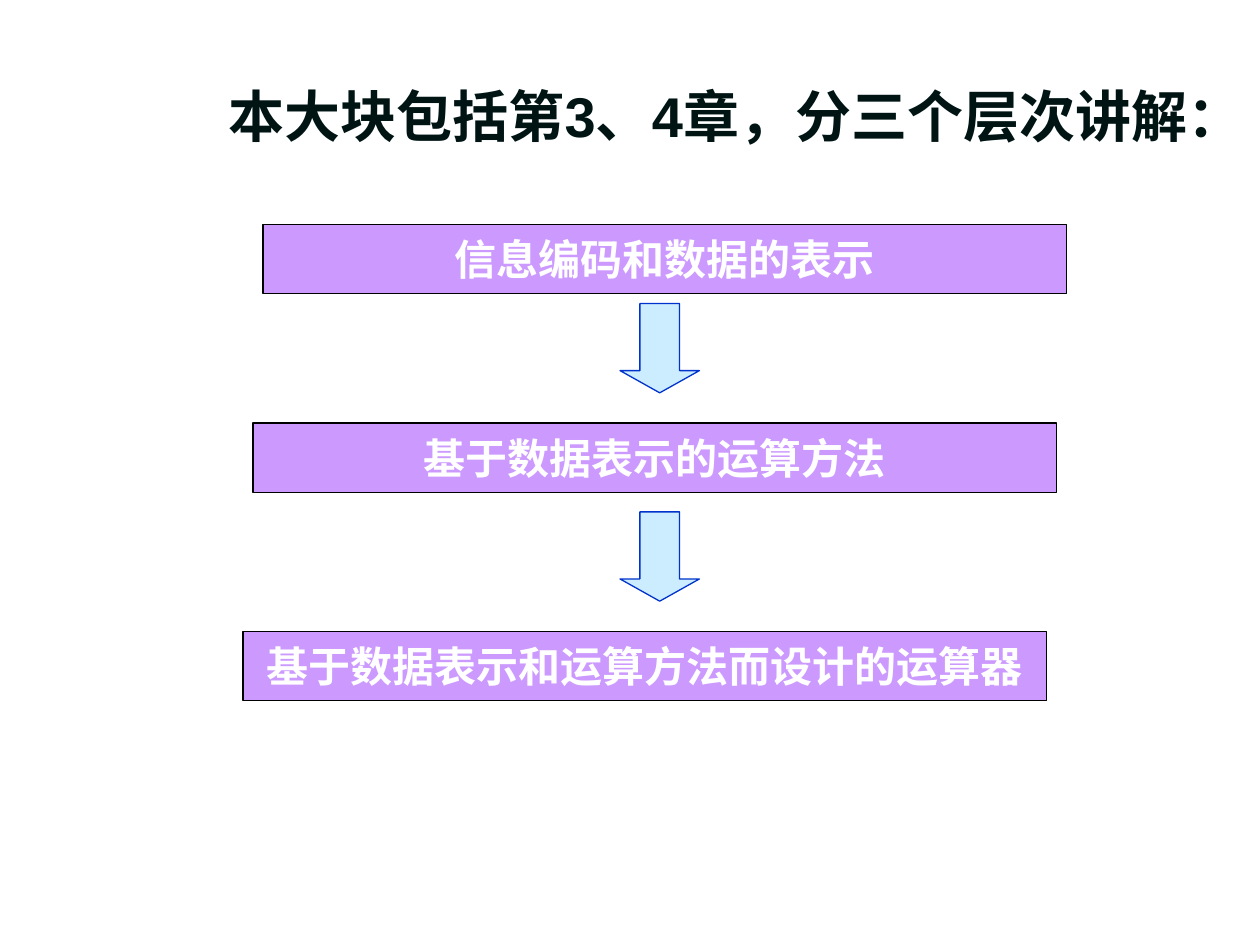
from pptx import Presentation
from pptx.dml.color import RGBColor
from pptx.enum.shapes import MSO_SHAPE as Shape
from pptx.enum.text import MSO_ANCHOR as Anchor, PP_ALIGN as Align
from pptx.util import Cm, Pt

INK = RGBColor(0x00, 0x14, 0x14)
BLACK = RGBColor(0x00, 0x00, 0x00)
WHITE = RGBColor(0xFF, 0xFF, 0xFF)
PURPLE = RGBColor(0xCC, 0x99, 0xFF)
PALE = RGBColor(0xCC, 0xEC, 0xFF)
BLUE = RGBColor(0x00, 0x33, 0xCC)


def add_form(kind, left, top, width, height, fill, line):
    form = slide.shapes.add_shape(kind, Cm(left), Cm(top), Cm(width), Cm(height))
    form.shadow.inherit = False
    form.fill.solid()
    form.fill.fore_color.rgb = fill
    form.line.color.rgb = line
    form.line.width = Pt(0.75)
    return form


def set_font(para, size, color):
    font = para.runs[0].font
    font.name = "Arial"
    font.size = Pt(size)
    font.bold = True
    font.color.rgb = color


deck = Presentation()
deck.slide_width = Cm(25.4)
deck.slide_height = Cm(19.05)
slide = deck.slides.add_slide(deck.slide_layouts[6])

intro = slide.shapes.add_textbox(Cm(0.84), Cm(1.52), Cm(23.72), Cm(14.78))
frame = intro.text_frame
frame.word_wrap = True
frame.text = "本大块包括第3、4章，分三个层次讲解："
para = frame.paragraphs[0]
props = para._p.get_or_add_pPr()
props.set("marL", str(Cm(0.95)))
props.set("indent", str(Cm(2.56)))
set_font(para, 32, INK)

levels = [
    ("信息编码和数据的表示", 4.52),
    ("基于数据表示的运算方法", 8.53),
    ("基于数据表示和运算方法而设计的运算器", 12.73),
]
for step, (text, top) in enumerate(levels):
    box = add_form(Shape.RECTANGLE, 5.3 - 0.2 * step, top, 16.2, 1.4, PURPLE, BLACK)
    frame = box.text_frame
    frame.word_wrap = False
    frame.vertical_anchor = Anchor.MIDDLE
    frame.text = text
    para = frame.paragraphs[0]
    para.alignment = Align.CENTER
    set_font(para, 24, WHITE)

for top in (6.12, 10.32):
    arrow = add_form(Shape.DOWN_ARROW, 12.5, top, 1.6, 1.8, PALE, BLUE)
    arrow.adjustments[0] = 0.5
    arrow.adjustments[1] = 0.28

deck.save("out.pptx")
